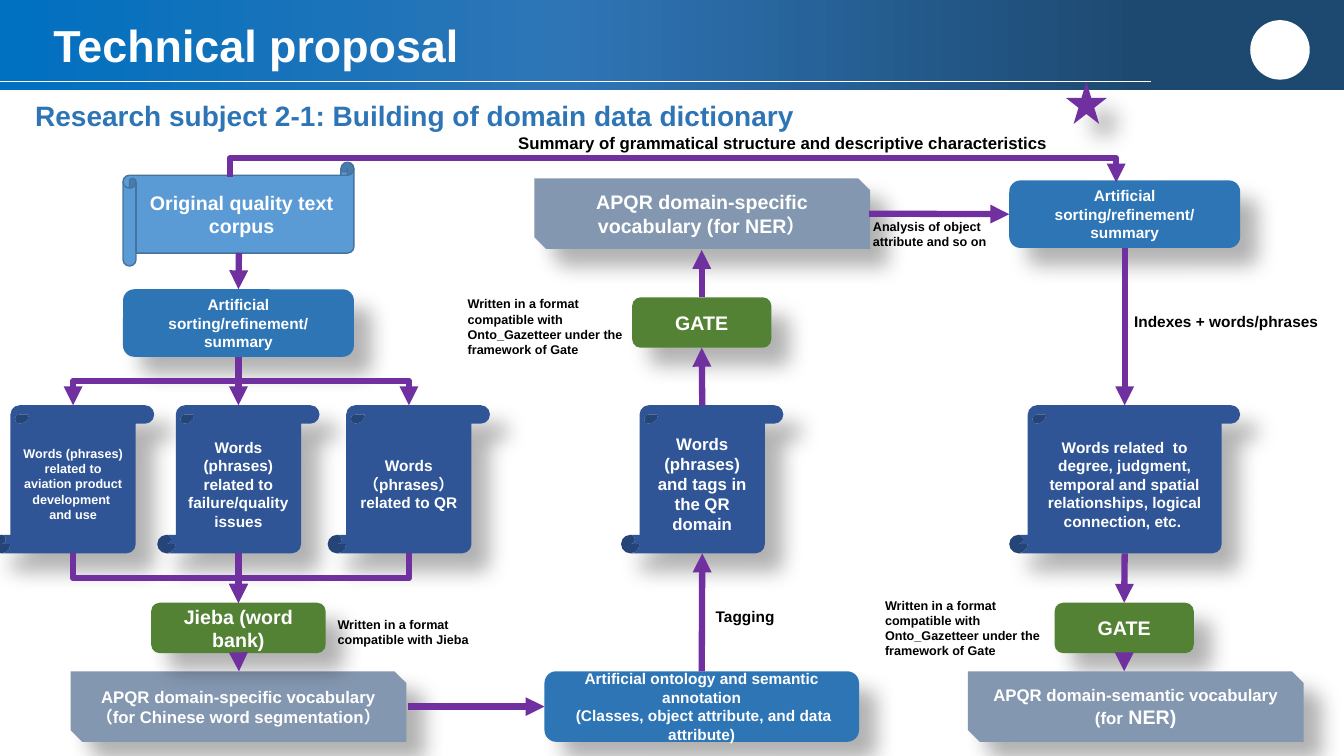
from lxml.etree import SubElement
from pptx import Presentation
from pptx.dml.color import RGBColor
from pptx.enum.shapes import MSO_CONNECTOR, MSO_SHAPE
from pptx.enum.text import MSO_ANCHOR, MSO_AUTO_SIZE, PP_ALIGN
from pptx.oxml import parse_xml
from pptx.oxml.ns import nsdecls, qn
from pptx.util import Inches, Pt

WHITE, BLACK = "FFFFFF", "000000"
PURPLE, BLUE, LIGHT_BLUE = "7030A0", "2E75B6", "5B9BD5"
NAVY, GREEN, GREY = "2F5597", "548235", "8497B0"
TOP, LEFT, BOTTOM, RIGHT = range(4)


def color(hex_string):
    return RGBColor.from_string(hex_string)


def add_run(paragraph, text, size, hex_color):
    run = paragraph.add_run()
    run.text = text
    font = run.font
    font.name, font.size, font.bold = "Arial", Pt(size), True
    font.color.rgb = color(hex_color)


def fill_frame(frame, text, size, hex_color, align=PP_ALIGN.LEFT):
    """Write each line of the text as one paragraph."""
    for index, line in enumerate(text.split("\n")):
        paragraph = frame.add_paragraph() if index else frame.paragraphs[0]
        paragraph.alignment = align
        add_run(paragraph, line, size, hex_color)


def add_shadow(shape):
    shape._element.spPr.append(parse_xml(
        f'<a:effectLst {nsdecls("a")}><a:outerShdw blurRad="{Pt(15)}" dist="{Pt(18)}" '
        'dir="2700000" algn="tl" rotWithShape="0"><a:srgbClr val="000000">'
        '<a:alpha val="30000"/></a:srgbClr></a:outerShdw></a:effectLst>'))


def add_plain_shape(slide, kind, box, fill):
    shape = slide.shapes.add_shape(kind, *map(Inches, box))
    shape.shadow.inherit = False
    shape.fill.solid()
    shape.fill.fore_color.rgb = color(fill)
    shape.line.fill.background()
    return shape


def add_node(slide, kind, box, fill, text="", size=11, shadow=True):
    shape = add_plain_shape(slide, kind, box, fill)
    if shadow:
        shape._element.spPr.remove(shape._element.spPr.find(qn("a:effectLst")))
        add_shadow(shape)
    frame = shape.text_frame
    frame.word_wrap = True
    frame.vertical_anchor = MSO_ANCHOR.MIDDLE
    if text:
        fill_frame(frame, text, size, WHITE, PP_ALIGN.CENTER)
    return shape


def add_label(slide, box, text, size, hex_color=BLACK, wrap=True):
    frame = slide.shapes.add_textbox(*map(Inches, box)).text_frame
    frame.word_wrap = wrap
    frame.auto_size = MSO_AUTO_SIZE.SHAPE_TO_FIT_TEXT
    fill_frame(frame, text, size, hex_color)


def add_line(slide, start, end, hex_color, width, kind=MSO_CONNECTOR.STRAIGHT):
    """Draw a line whose ends are (x, y) points or (shape, side) joints."""
    points = [(0, 0) if hasattr(end_point[0], "shape_id") else end_point for end_point in (start, end)]
    connector = slide.shapes.add_connector(kind, *(Inches(value) for point in points for value in point))
    if hasattr(start[0], "shape_id"):
        connector.begin_connect(*start)
    if hasattr(end[0], "shape_id"):
        connector.end_connect(*end)
    connector.line.color.rgb = color(hex_color)
    connector.line.width = Pt(width)
    SubElement(connector._element.spPr, qn("a:effectLst"))
    return connector


def add_arrow(slide, start, end, kind=MSO_CONNECTOR.STRAIGHT):
    connector = add_line(slide, start, end, PURPLE, 4.5, kind)
    SubElement(connector.line._get_or_add_ln(), qn("a:tailEnd"), type="triangle")
    return connector


def add_elbow_arrow(slide, start, end, bend=0.5):
    """Draw a down-across-down arrow; bend is the turning point as a share of the height."""
    connector = add_arrow(slide, start, end, MSO_CONNECTOR.ELBOW)
    begin_x, begin_y = connector.begin_x, connector.begin_y
    end_x, end_y = connector.end_x, connector.end_y
    width, height = abs(end_y - begin_y), abs(end_x - begin_x)
    transform = connector._element.spPr.find(qn("a:xfrm"))
    for flip in ("flipH", "flipV"):
        transform.attrib.pop(flip, None)
    if end_x > begin_x:
        transform.set("rot", str(270 * 60000))
        transform.set("flipH", "1")
    else:
        transform.set("rot", str(90 * 60000))
    connector.left = (begin_x + end_x - width) // 2
    connector.top = (begin_y + end_y - height) // 2
    connector.width, connector.height = width, height
    guides = connector._element.spPr.find(qn("a:prstGeom")).find(qn("a:avLst"))
    SubElement(guides, qn("a:gd"), name="adj1", fmla=f"val {round(bend * 100000)}")


def add_header(slide):
    band = add_plain_shape(slide, MSO_SHAPE.RECTANGLE, (0, 0, 13.33, 0.89), BLUE)
    properties = band._element.spPr
    stops = "".join(
        f'<a:gs pos="{position * 1000}"><a:srgbClr val="{value}"/></a:gs>'
        for position, value in ((0, "0070C0"), (42, BLUE), (86, "1D486F")))
    properties.replace(properties.find(qn("a:solidFill")), parse_xml(
        f'<a:gradFill {nsdecls("a")} rotWithShape="1"><a:gsLst>{stops}</a:gsLst>'
        '<a:lin ang="0" scaled="0"/></a:gradFill>'))
    add_line(slide, (0, 0.81), (11.42, 0.81), WHITE, 0.5)
    add_plain_shape(slide, MSO_SHAPE.OVAL, (12.4, 0.2, 0.59, 0.59), WHITE)

    title = slide.shapes.title
    title.left, title.top, title.width, title.height = map(Inches, (0.43, 0.24, 11.22, 0.48))
    frame = title.text_frame
    frame.vertical_anchor = MSO_ANCHOR.MIDDLE
    fill_frame(frame, "Technical proposal", 32, WHITE)
    frame.paragraphs[0].line_spacing = 0.9
    slide.shapes._spTree.append(title._element)


def add_flow(slide):
    scroll, rounded, snipped = (
        MSO_SHAPE.VERTICAL_SCROLL, MSO_SHAPE.ROUNDED_RECTANGLE, MSO_SHAPE.SNIP_2_DIAG_RECTANGLE)
    summary = "Artificial sorting/refinement/ summary"

    add_node(slide, MSO_SHAPE.STAR_5_POINT, (10.57, 0.81, 0.41, 0.42), PURPLE)
    corpus = add_node(slide, MSO_SHAPE.HORIZONTAL_SCROLL, (1.22, 1.61, 2.29, 1.03), LIGHT_BLUE,
                      "Original quality text corpus", 14, shadow=False)
    corpus.line.color.rgb = color("43739E")
    corpus.line.width = Pt(1)
    sorting = add_node(slide, rounded, (1.22, 2.87, 2.29, 0.67), BLUE, summary)
    word_groups = [
        add_node(slide, scroll, (left, 4.02, 1.61, 1.47), NAVY, text, size)
        for left, text, size in (
            (-0.08, "Words (phrases) related to aviation product development  and use", 9),
            (1.56, "Words (phrases) related to failure/quality issues", 11),
            (3.25, "Words （phrases） related to QR", 11))]
    add_node(slide, snipped, (0.7, 6.66, 3.33, 0.7), GREY,
             "APQR domain-specific vocabulary （for Chinese word segmentation）", 12)
    jieba = add_node(slide, rounded, (1.5, 5.98, 1.73, 0.5), GREEN, "Jieba (word bank)", 14)
    entity_gate = add_node(slide, rounded, (6.27, 2.95, 1.38, 0.5), GREEN, "GATE", 14)
    ontology = add_node(slide, rounded, (5.4, 6.66, 3.12, 0.7), BLUE,
                        "Artificial ontology and semantic annotation\n"
                        " (Classes, object attribute, and data attribute)")
    tags = add_node(slide, scroll, (6.16, 4.02, 1.61, 1.47), NAVY,
                    "Words (phrases) and tags in the QR domain", 12)
    add_node(slide, snipped, (5.3, 1.77, 3.33, 0.7), GREY,
             "APQR domain-specific vocabulary (for NER）", 14)
    refinement = add_node(slide, rounded, (10.01, 1.79, 2.29, 0.67), BLUE, summary)
    relations = add_node(slide, scroll, (10.01, 4.02, 2.29, 1.47), NAVY,
                         "Words related  to degree, judgment, temporal and spatial relationships, "
                         "logical connection, etc. ")
    semantic_gate = add_node(slide, rounded, (10.46, 5.98, 1.38, 0.5), GREEN, "GATE", 14)
    semantic = add_node(slide, snipped, (9.6, 6.66, 3.33, 0.7), GREY,
                        "APQR domain-semantic vocabulary (for", 12)
    add_run(semantic.text_frame.paragraphs[0], " NER)", 14, WHITE)

    for group in word_groups:
        is_middle = group is word_groups[1]
        draw = add_arrow if is_middle else add_elbow_arrow
        draw(slide, (sorting, BOTTOM), (group, TOP))
        draw(slide, (group, BOTTOM), (jieba, TOP))
    for start, end in (
            ((2.37, 2.51), (sorting, TOP)),
            ((jieba, BOTTOM), (2.37, 6.66)),
            ((4.05, 7.01), (ontology, LEFT)),
            ((ontology, TOP), (tags, BOTTOM)),
            ((tags, TOP), (entity_gate, BOTTOM)),
            ((entity_gate, TOP), (6.96, 2.48)),
            ((8.62, 2.12), (refinement, LEFT)),
            ((refinement, BOTTOM), (relations, TOP)),
            ((relations, BOTTOM), (semantic_gate, TOP)),
            ((semantic_gate, BOTTOM), (11.15, 6.66))):
        add_arrow(slide, start, end)
    add_elbow_arrow(slide, (2.28, 1.76), (11.07, 1.81), bend=-3.8)


def add_labels(slide):
    gazetteer = "Written in a format compatible with\nOnto_Gazetteer under the framework of Gate"
    add_label(slide, (0.25, 0.93, 7.79, 0.44),
              "Research subject 2-1: Building of domain data dictionary", 20, BLUE, wrap=False)
    for box, text, size in (
            ((7, 5.97, 0.95, 0.29), "Tagging", 11),
            ((3.25, 6.07, 1.97, 0.4), "Written in a format compatible with Jieba", 9),
            ((4.54, 2.89, 1.77, 0.71), gazetteer, 9),
            ((5.04, 1.27, 5.51, 0.3),
             "Summary of grammatical structure and descriptive characteristics", 12),
            ((8.56, 2.12, 1.77, 0.4), "Analysis of object attribute and so on", 9),
            ((8.68, 5.88, 1.8, 0.71), gazetteer, 9),
            ((11.15, 3.05, 2.15, 0.29), "Indexes + words/phrases", 11)):
        add_label(slide, box, text, size)


def main():
    presentation = Presentation()
    presentation.slide_width, presentation.slide_height = Inches(13.33), Inches(7.5)
    slide = presentation.slides.add_slide(presentation.slide_layouts[5])
    add_header(slide)
    add_flow(slide)
    add_labels(slide)
    presentation.save("out.pptx")


if __name__ == "__main__":
    main()
